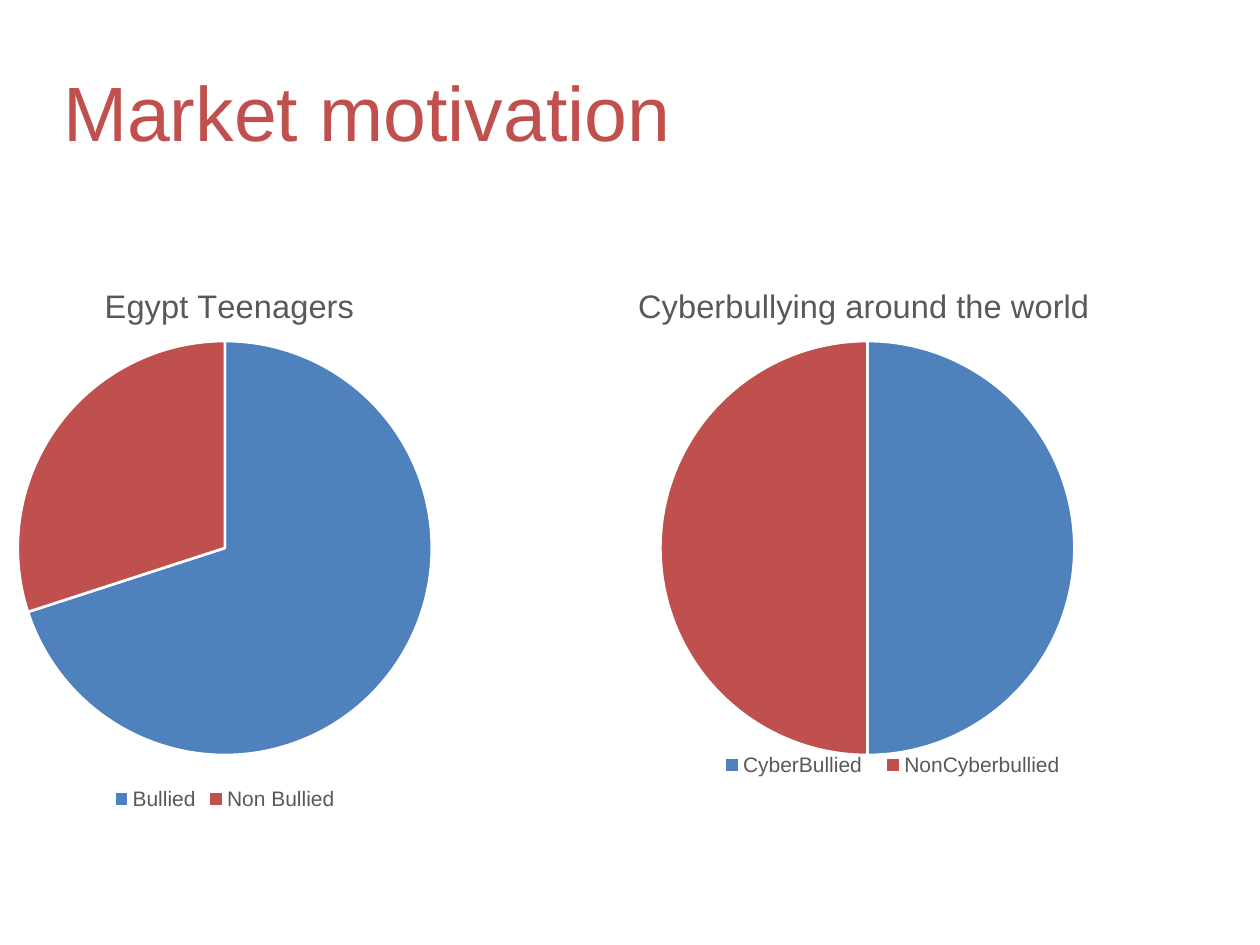
from lxml import etree
from pptx import Presentation
from pptx import util as u
from pptx.chart import data as chart_data
from pptx.dml import color
from pptx.enum import chart as chart_enum, text

COLORS = {"blue": "4F81BD", "red": "C0504D", "grey": "595959", "white": "FFFFFF"}
FONT = "Arial"
CHART_NS = "http://schemas.openxmlformats.org/drawingml/2006/chart"


def rgb(name):
    """Return the named colour."""
    return color.RGBColor.from_string(COLORS[name])


def style_font(font, size, name):
    """Set the typeface, size and colour of a font."""
    font.name, font.size, font.bold = FONT, u.Pt(size), False
    font.color.rgb = rgb(name)


def place_part(parent, index, fractions, inner=False):
    """Fix a chart part at fractions (x, y, width, height) of its chart."""
    for old in parent.findall(f"{{{CHART_NS}}}layout"):
        parent.remove(old)
    layout = etree.Element(f"{{{CHART_NS}}}layout")
    manual = etree.SubElement(layout, f"{{{CHART_NS}}}manualLayout")
    settings = [("layoutTarget", "inner")] if inner else []
    settings += [("xMode", "edge"), ("yMode", "edge")]
    settings += zip("xywh", map(str, fractions))
    for tag, value in settings:
        etree.SubElement(manual, f"{{{CHART_NS}}}{tag}").set("val", value)
    parent.insert(index, layout)


def add_title(page, box, wording):
    """Place and format the title placeholder."""
    title = page.shapes.title
    title.left, title.top, title.width, title.height = map(u.Pt, box)
    frame = title.text_frame
    frame.margin_left = frame.margin_right = frame.margin_top = frame.margin_bottom = 0
    frame.vertical_anchor = text.MSO_ANCHOR.MIDDLE
    frame.text = wording
    para = frame.paragraphs[0]
    para.alignment = text.PP_ALIGN.LEFT
    para.line_spacing = 0.9
    style_font(para.font, 44, "red")


def add_pie(page, box, heading, heading_at, shares, legend_at=None):
    """Draw a titled pie chart with its legend inside the box."""
    data = chart_data.CategoryChartData()
    data.categories = list(shares)
    data.add_series("Series 1", list(shares.values()))
    chart = page.shapes.add_chart(
        chart_enum.XL_CHART_TYPE.PIE, *map(u.Pt, box), data).chart
    chart.font.name, chart.font.size = FONT, u.Pt(10)

    chart.has_title = True
    title = chart.chart_title
    title.text_frame.text = heading
    style_font(title.text_frame.paragraphs[0].font, 18.6, "grey")

    chart.has_legend = True
    legend = chart.legend
    legend.position = chart_enum.XL_LEGEND_POSITION.BOTTOM
    legend.include_in_layout = False
    style_font(legend.font, 12, "grey")

    plot = chart.plots[0]
    plot.vary_by_categories = True
    for index, name in enumerate(("blue", "red")):
        slice_format = plot.series[0].points[index].format
        slice_format.fill.solid()
        slice_format.fill.fore_color.rgb = rgb(name)
        slice_format.line.color.rgb = rgb("white")
        slice_format.line.width = u.Pt(1.5)

    diameter, top = 236.6, 48.7
    width, height = box[2:]
    pie = ((width - diameter) / 2 / width, top / height,
           diameter / width, diameter / height)
    plot_area = chart._chartSpace.find(f".//{{{CHART_NS}}}plotArea")
    place_part(plot_area, 0, pie, inner=True)
    place_part(title._element, 1, heading_at)
    if legend_at:
        place_part(legend._element, 1, legend_at)


def main():
    """Build the slide and save it."""
    deck = Presentation()
    deck.slide_width, deck.slide_height = u.Pt(720), u.Pt(540)
    page = deck.slides.add_slide(deck.slide_layouts[5])
    add_title(page, (36, 21.6, 648, 90), "Market motivation")
    top, width, height = 146.2, 480.2, 319.7
    add_pie(page, (-111.6, top, width, height), "Egypt Teenagers", (0.35, 0.04),
            {"Bullied": 70, "Non Bullied": 30})
    add_pie(page, (255.6, top, width, height), "Cyberbullying around the world",
            (0.22, 0.04), {"CyberBullied": 50, "NonCyberbullied": 50},
            (0.31, 0.88, 0.44, 0.06))
    deck.save("out.pptx")


if __name__ == "__main__":
    main()
